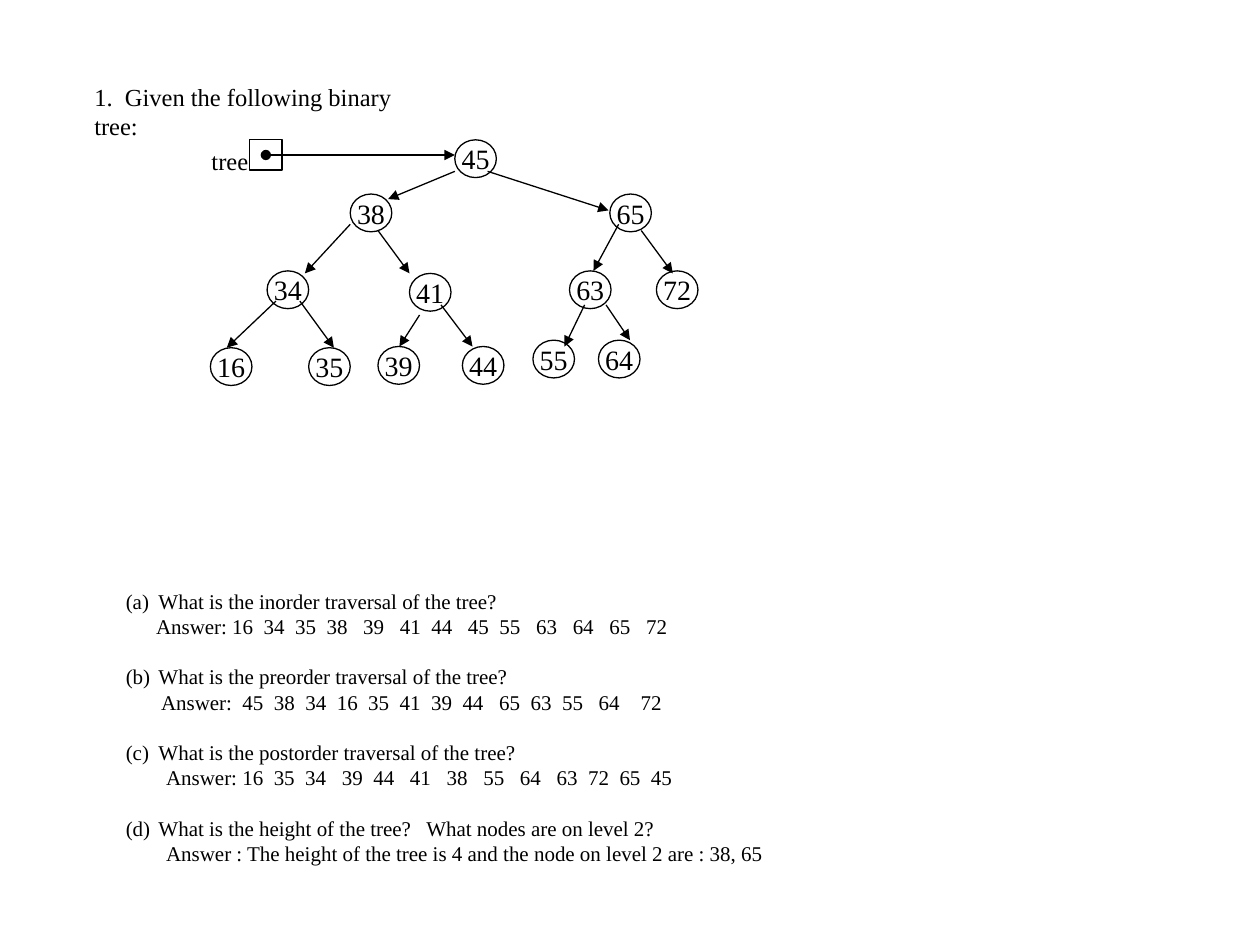
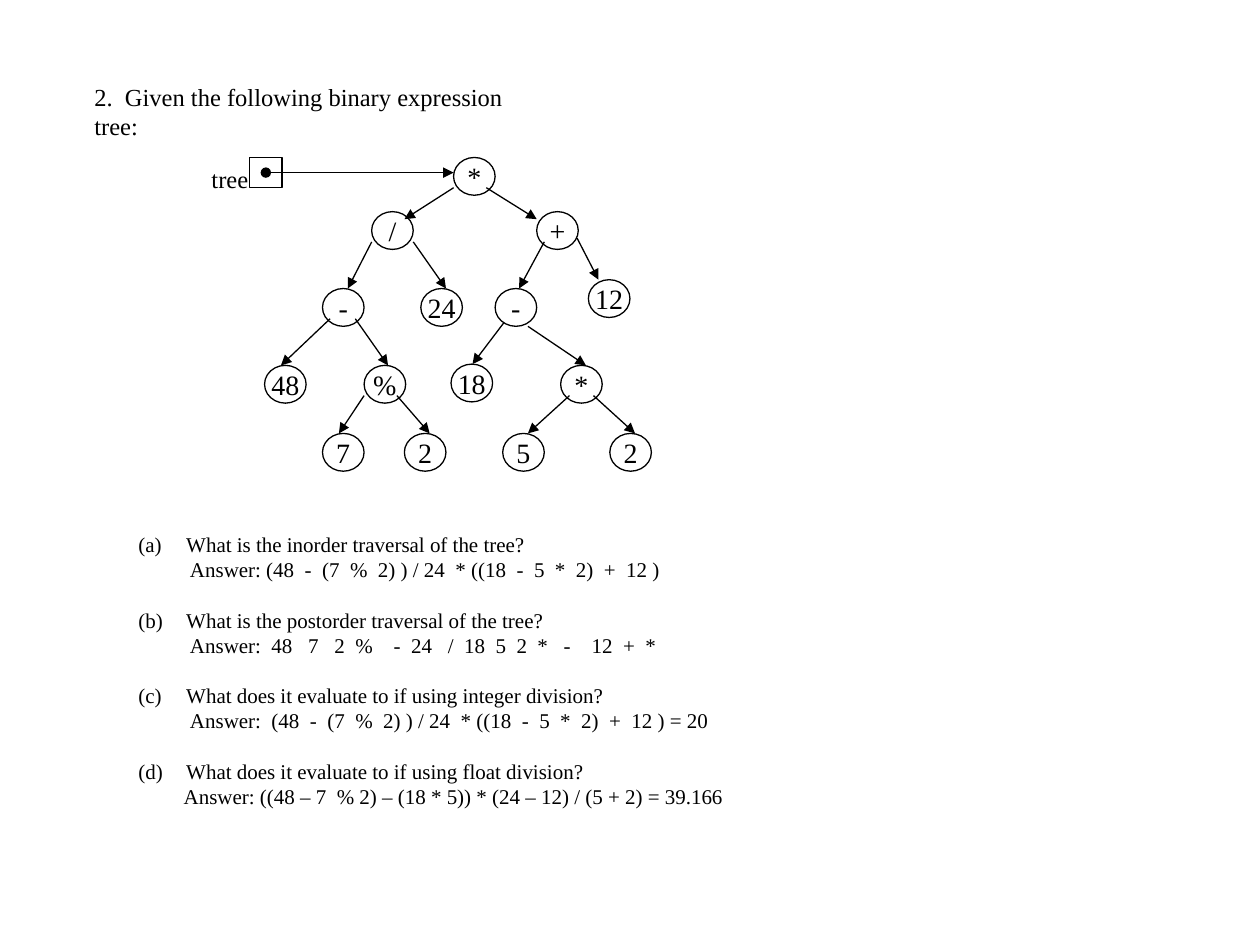
"""Builds two exercise slides on binary trees with traversal questions and answers."""
from dataclasses import dataclass

from lxml import etree
from pptx import Presentation
from pptx.dml.color import RGBColor
from pptx.enum.shapes import MSO_CONNECTOR, MSO_SHAPE
from pptx.enum.text import MSO_ANCHOR, PP_ALIGN
from pptx.oxml.ns import qn
from pptx.util import Inches, Pt

OVAL, RECT = MSO_SHAPE.OVAL, MSO_SHAPE.RECTANGLE
STRAIGHT = MSO_CONNECTOR.STRAIGHT
MIDDLE, CENTER = MSO_ANCHOR.MIDDLE, PP_ALIGN.CENTER


@dataclass(frozen=True)
class Theme:
    ink: RGBColor = RGBColor(0, 0, 0)
    font: str = "Times New Roman"
    title: int = 14
    node: int = 16
    body: int = 12
    gap: float = 14.4
    line: float = 0.75


THEME = Theme()
NODE_W, NODE_H = 0.33, 0.3
BOX_X, BOX_W, BOX_H = 1.98, 0.26, 0.24

SLIDES = [
    {
        "title": "1.  Given the following binary tree:",
        "title_width": 2.9,
        "root": (3.61, 1.11),
        "nodes": [
            ("45", 3.61, 1.11), ("38", 2.78, 1.54), ("65", 4.84, 1.54),
            ("34", 2.12, 2.15), ("41", 3.25, 2.17), ("63", 4.52, 2.15),
            ("72", 5.21, 2.15), ("16", 1.67, 2.76), ("35", 2.45, 2.76),
            ("39", 3, 2.75), ("44", 3.67, 2.75), ("55", 4.23, 2.7),
            ("64", 4.75, 2.7),
        ],
        "edges": [
            (3.61, 1.36, 3.08, 1.58), (3.87, 1.36, 4.83, 1.67),
            (2.78, 1.78, 2.42, 2.17), (3, 1.83, 3.25, 2.17),
            (4.91, 1.78, 4.71, 2.15), (5.09, 1.83, 5.34, 2.17),
            (2.19, 2.39, 1.8, 2.76), (2.38, 2.39, 2.65, 2.76),
            (3.33, 2.5, 3.17, 2.75), (3.5, 2.42, 3.75, 2.75),
            (4.64, 2.42, 4.48, 2.75), (4.81, 2.42, 5, 2.7),
        ],
        "body": (0.9, 4.62, 5.33, 2.52),
        "hang": 0.26,
        "questions": [
            ("What is the inorder traversal of the tree?", 0.24,
             "Answer: 16  34  35  38   39   41  44   45  55   63   64   65   72"),
            ("What is the preorder traversal of the tree?", 0.28,
             "Answer:  45  38  34  16  35  41  39  44   65  63  55   64    72"),
            ("What is the postorder traversal of the tree?", 0.32,
             "Answer: 16  35  34   39  44   41   38   55   64   63  72  65  45"),
            ("What is the height of the tree?   What nodes are on level 2?", 0.32,
             "Answer : The height of the tree is 4 and the node on level 2 are : 38, 65"),
        ],
    },
    {
        "title": "2.  Given the following binary expression tree:",
        "title_width": 3.75,
        "root": (3.6, 1.25),
        "nodes": [
            ("*", 3.6, 1.25), ("/", 2.95, 1.68), ("+", 4.26, 1.68),
            ("-", 2.56, 2.29), ("24", 3.34, 2.29), ("-", 3.93, 2.29),
            ("12", 4.67, 2.22), ("48", 2.1, 2.9), ("%", 2.89, 2.9),
            ("18", 3.58, 2.89), ("*", 4.45, 2.9), ("7", 2.56, 3.44),
            ("2", 3.21, 3.44), ("5", 3.99, 3.44), ("2", 4.84, 3.44),
        ],
        "edges": [
            (3.6, 1.49, 3.21, 1.74), (3.86, 1.49, 4.26, 1.74),
            (2.95, 1.92, 2.76, 2.29), (3.28, 1.92, 3.54, 2.29),
            (4.32, 1.92, 4.12, 2.29), (4.58, 1.89, 4.75, 2.22),
            (2.62, 2.53, 2.23, 2.9), (2.82, 2.53, 3.08, 2.9),
            (4, 2.56, 3.75, 2.89), (4.19, 2.59, 4.65, 2.9),
            (2.89, 3.14, 2.69, 3.44), (3.15, 3.14, 3.41, 3.44),
            (4.52, 3.14, 4.19, 3.44), (4.71, 3.14, 5.04, 3.44),
        ],
        "body": (1, 4.17, 4.9, 2.93),
        "hang": 0.38,
        "questions": [
            ("What is the inorder traversal of the tree?", 0.41,
             "Answer: (48  -  (7  %  2) ) / 24  * ((18  -  5  *  2)  +  12 )"),
            ("What is the postorder traversal of the tree?", 0.41,
             "Answer:  48   7   2  %    -  24   /  18  5  2  *   -    12  +  *"),
            ("What does it evaluate to if using integer division?", 0.41,
             "Answer:  (48  -  (7  %  2) ) / 24  * ((18  -  5  *  2)  +  12 ) = 20"),
            ("What does it evaluate to if using float division?", 0.36,
             "Answer: ((48 \u2013 7  % 2) \u2013 (18 * 5)) * (24 \u2013 12) / (5 + 2) = 39.166"),
        ],
    },
]


def write(p, text, size):
    p.text = text
    for r in p.runs:
        r.font.name, r.font.size = THEME.font, Pt(size)
        r.font.color.rgb = THEME.ink


def add_text(shapes, box, text="", size=THEME.title, wrap=True):
    tf = shapes.add_textbox(*map(Inches, box)).text_frame
    tf.word_wrap = wrap
    write(tf.paragraphs[0], text, size)
    return tf


def add_outline(shapes, kind, *box):
    sp = shapes.add_shape(kind, *map(Inches, box))
    sp.shadow.inherit = False
    sp.fill.background()
    sp.line.color.rgb, sp.line.width = THEME.ink, Pt(THEME.line)
    return sp


def add_node(shapes, label, x, y):
    tf = add_outline(shapes, OVAL, x, y, NODE_W, NODE_H).text_frame
    tf.word_wrap, tf.vertical_anchor = False, MIDDLE
    write(tf.paragraphs[0], label, THEME.node)
    tf.paragraphs[0].alignment = CENTER


def add_arrow(shapes, points, head=None):
    c = shapes.add_connector(STRAIGHT, *map(Inches, points))
    c.line.color.rgb, c.line.width = THEME.ink, Pt(THEME.line)
    spPr = c._element.spPr
    ln = spPr.find(qn("a:ln"))
    if head:
        etree.SubElement(ln, qn("a:headEnd"), type=head)
    etree.SubElement(ln, qn("a:tailEnd"), type="triangle")
    etree.SubElement(spPr, qn("a:effectLst"))


def add_tree(s, data):
    shapes = s.shapes.add_group_shape().shapes
    for node in data["nodes"]:
        add_node(shapes, *node)
    for edge in data["edges"]:
        add_arrow(shapes, edge)
    x, y = data["root"]
    mid = y + BOX_H / 2
    add_outline(shapes, RECT, BOX_X, y, BOX_W, BOX_H)
    add_text(shapes, (1.58, y, 0.49, 0.33), "tree", wrap=False)
    add_arrow(shapes, (BOX_X + BOX_W / 2, mid, x, mid), head="oval")


def indent(p, left, first=0):
    pPr = p._p.get_or_add_pPr()
    pPr.set("marL", str(Inches(left)))
    pPr.set("indent", str(Inches(first)))
    return pPr


def add_questions(s, data):
    tf = add_text(s.shapes, data["body"])
    for number, (question, left, answer) in enumerate(data["questions"], 1):
        p = tf.paragraphs[0] if number == 1 else tf.add_paragraph()
        write(p, question, THEME.body)
        if number > 1:
            p.space_before = Pt(THEME.gap)
        pPr = indent(p, data["hang"], -data["hang"])
        etree.SubElement(pPr, qn("a:buFontTx"))
        etree.SubElement(pPr, qn("a:buAutoNum"), type="alphaLcParenBoth",
                         startAt=str(number))
        p = tf.add_paragraph()
        write(p, answer, THEME.body)
        indent(p, left)


prs = Presentation()
prs.slide_width, prs.slide_height = Inches(10), Inches(7.5)
for data in SLIDES:
    s = prs.slides.add_slide(prs.slide_layouts[6])
    add_text(s.shapes, (0.65, 0.6, data["title_width"], 0.33), data["title"])
    add_questions(s, data)
    add_tree(s, data)
prs.save("out.pptx")
